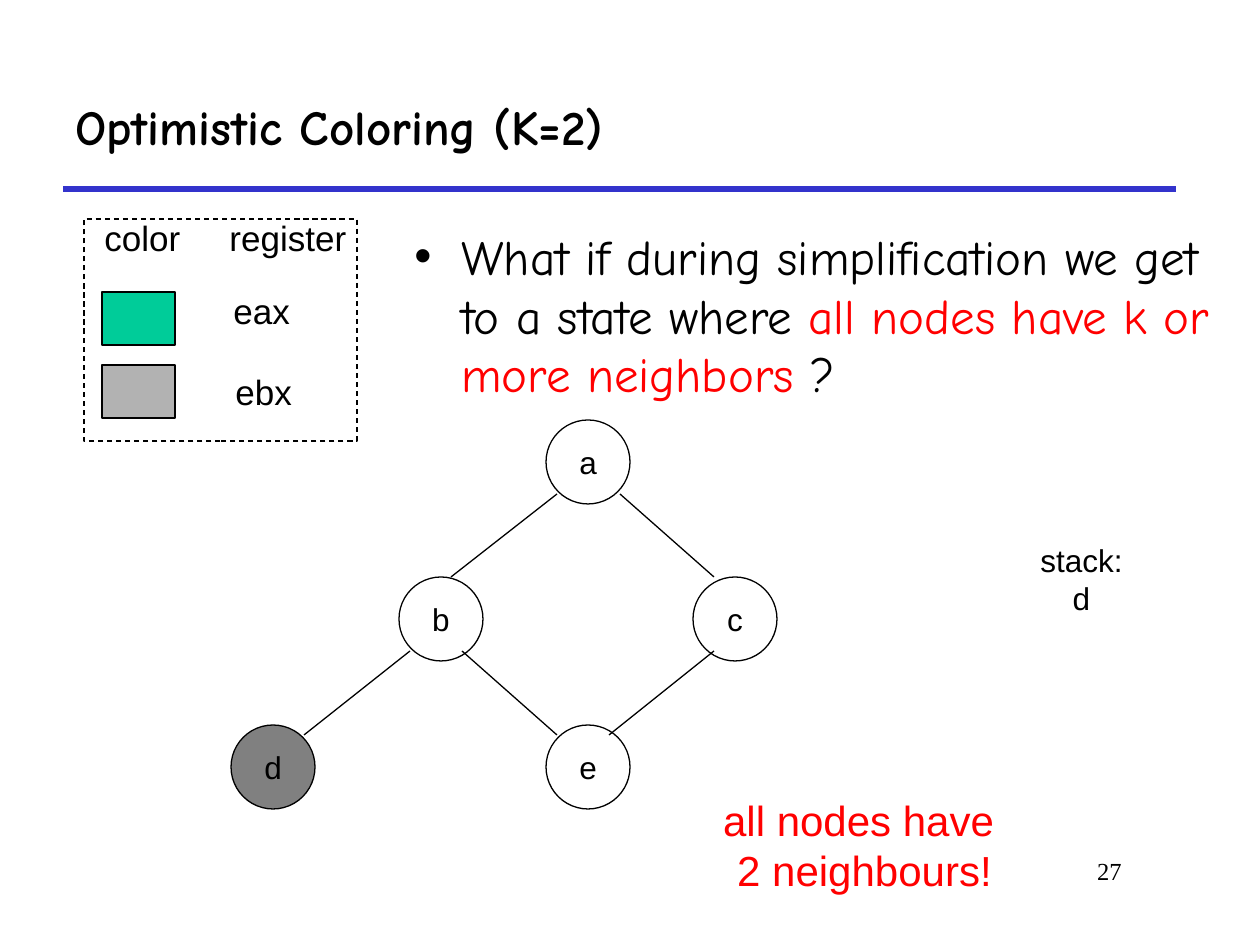
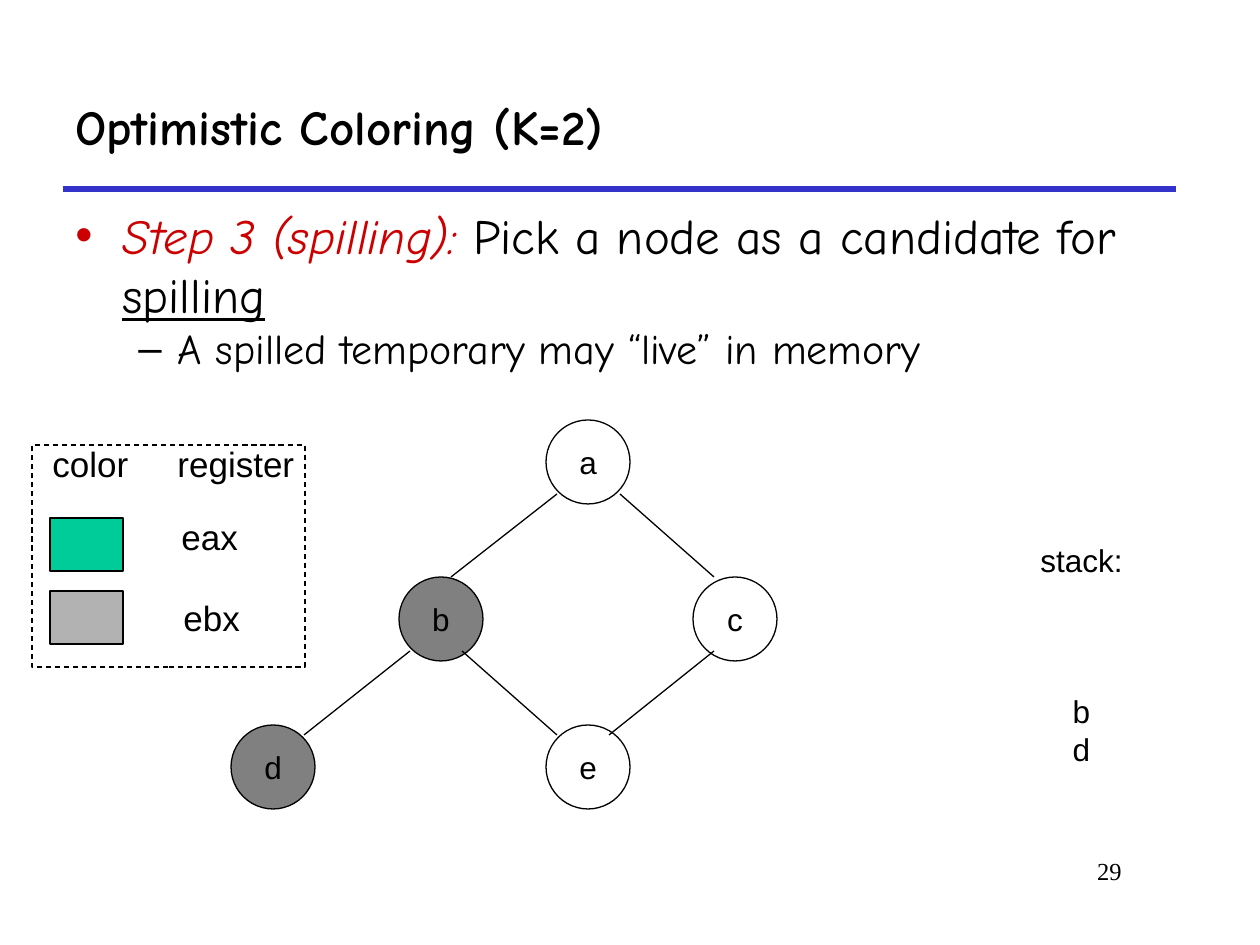
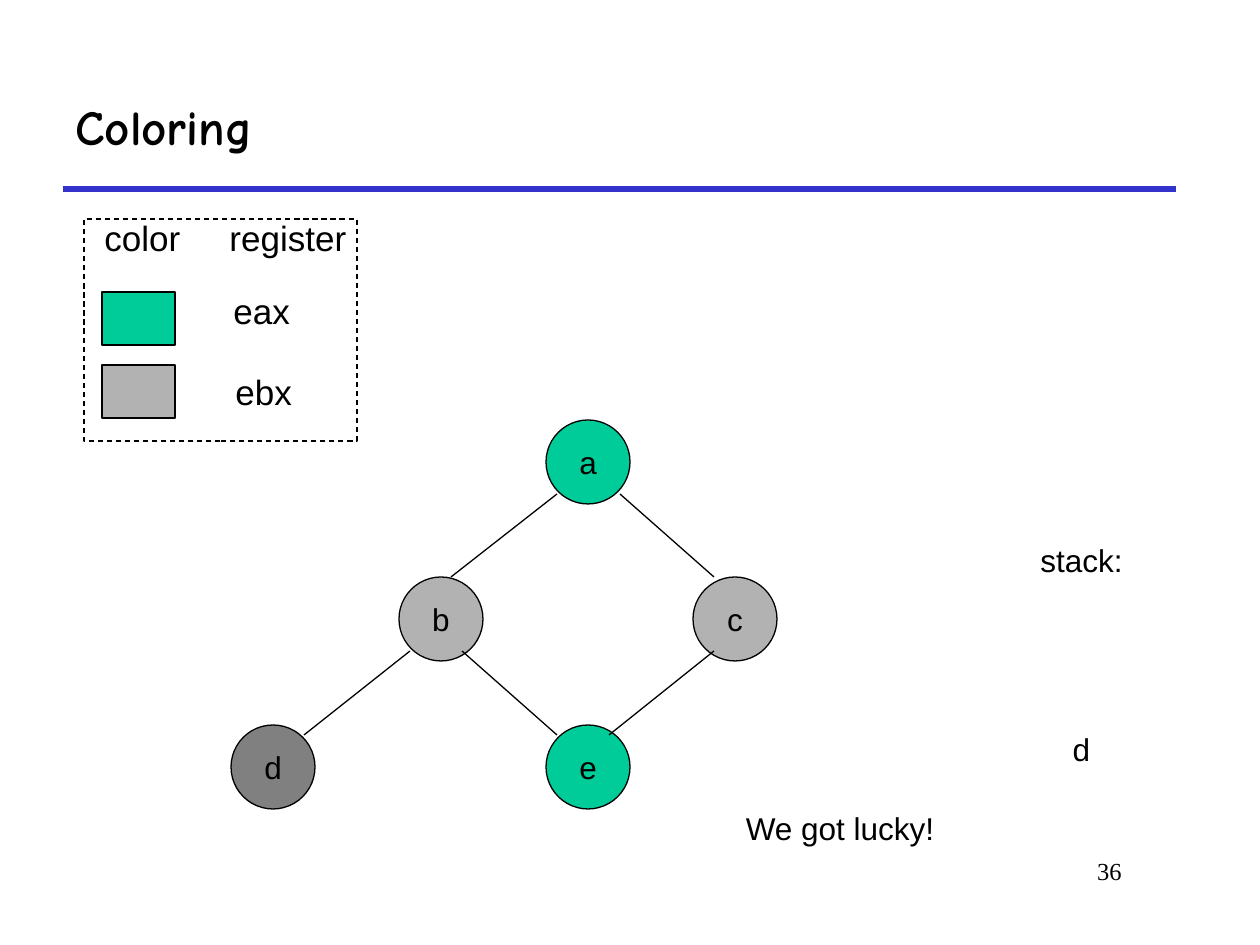
import pptx
import pptx.dml.color
import pptx.enum.dml
import pptx.enum.shapes
import pptx.enum.text
import pptx.oxml
import pptx.oxml.ns
import pptx.util

SHAPE = pptx.enum.shapes.MSO_SHAPE
ALIGN = pptx.enum.text.PP_ALIGN
ANCHOR = pptx.enum.text.MSO_ANCHOR
FIT = pptx.enum.text.MSO_AUTO_SIZE

# Colours and fonts
BLACK, RED, DARK_RED, BLUE = "000000", "FF0000", "CC0000", "3333CC"
GREEN, SILVER, GREY = "00CC99", "B2B2B2", "808080"
SANS, COMIC, SERIF = "Arial", "Comic Neue", "Times New Roman"

# Graph: left and top of each node, then the ends of each edge
NODE_SIZE = 84
NODES = {"b": (399, 577), "e": (546, 725), "d": (231, 725),
         "a": (546, 420), "c": (693, 577)}
EDGES = [(410, 651, 304, 735), (462, 651, 557, 735), (557, 494, 451, 577),
         (620, 494, 714, 577), (609, 735, 714, 651)]

STACK_ROW = 21.6  # points taken by one row of the stack


def px(length):
    return pptx.util.Emu(round(length * 914400 / 126))


def color(value):
    return pptx.dml.color.RGBColor.from_string(value)


def run(text, size=18, font=SANS, ink=BLACK, **marks):
    return text, size, font, ink, marks


class Slides:
    """Holds the deck, its style and the page being drawn."""

    def __init__(self):
        self.deck = pptx.Presentation()
        self.deck.slide_width, self.deck.slide_height = px(1260), px(945)

    def page(self, title, number):
        page = self.deck.slides.add_slide(self.deck.slide_layouts[6])
        self.shapes = page.shapes
        self.line(63, 189, 1176, 189, BLUE, 3)
        box = self.text(872, 850, 262, 63)
        self.para(box, [run(number, 14, SERIF)], ALIGN.RIGHT)
        box = self.text(63, 63, 1113, 126, anchor=ANCHOR.MIDDLE)
        self.para(box, [run(title, 28, COMIC, bold=True)])

    def line(self, x1, y1, x2, y2, ink=BLACK, width=0.75):
        line = self.shapes.add_connector(
            pptx.enum.shapes.MSO_CONNECTOR.STRAIGHT, px(x1), px(y1), px(x2), px(y2))
        line.line.color.rgb = color(ink)
        line.line.width = pptx.util.Pt(width)
        properties = line._element.spPr
        properties.append(pptx.oxml.parse_xml(
            "<a:effectLst %s/>" % pptx.oxml.ns.nsdecls("a")))

    def shape(self, kind, x, y, width, height, fill=None):
        shape = self.shapes.add_shape(kind, px(x), px(y), px(width), px(height))
        shape.shadow.inherit = False
        if fill:
            shape.fill.solid()
            shape.fill.fore_color.rgb = color(fill)
        else:
            shape.fill.background()
        shape.line.color.rgb = color(BLACK)
        shape.line.width = pptx.util.Pt(0.75)
        return shape

    def text(self, x, y, width, height, wrap=True, anchor=ANCHOR.TOP):
        box = self.shapes.add_textbox(px(x), px(y), px(width), px(height))
        box.text_frame.word_wrap = wrap
        box.text_frame.vertical_anchor = anchor
        if not wrap:
            box.text_frame.auto_size = FIT.SHAPE_TO_FIT_TEXT
        return box

    def para(self, box, runs, align=ALIGN.LEFT, before=0):
        frame = box.text_frame
        para = frame.paragraphs[0]
        if para.runs:
            para = frame.add_paragraph()
        para.alignment = align
        para.space_before = pptx.util.Pt(before)
        for text, size, font, ink, marks in runs:
            span = para.add_run()
            span.text = text
            span.font.size = pptx.util.Pt(size)
            span.font.name = font
            span.font.color.rgb = color(ink)
            for mark, value in marks.items():
                setattr(span.font, mark, value)
        return para

    def bullet(self, box, runs, mark, ink, left, hang, level=0, before=0):
        para = self.para(box, runs, before=before)
        para.level = level
        properties = para._p.get_or_add_pPr()
        properties.set("marL", str(px(left)))
        properties.set("indent", str(-px(hang)))
        names = pptx.oxml.ns.nsdecls("a")
        for item in (f'<a:buClr {names}><a:srgbClr val="{ink}"/></a:buClr>',
                     f'<a:buFont {names} typeface="{SANS}"/>',
                     f'<a:buChar {names} char="{mark}"/>'):
            properties.append(pptx.oxml.parse_xml(item))

    def graph(self, fills):
        for name, (x, y) in NODES.items():
            node = self.shape(SHAPE.OVAL, x, y, NODE_SIZE, NODE_SIZE, fills.get(name))
            node.text_frame.word_wrap = False
            node.text_frame.vertical_anchor = ANCHOR.MIDDLE
            self.para(node, [run(name)], ALIGN.CENTER)
        for edge in EDGES:
            self.line(*edge)

    def legend(self, x, y):
        page_shapes = self.shapes
        self.shapes = page_shapes.add_group_shape().shapes
        frame = self.shape(SHAPE.RECTANGLE, x, y, 273, 222)
        frame.line.dash_style = pptx.enum.dml.MSO_LINE.DASH
        heading = self.text(x + 8, y - 9, 272, 55)
        para = self.para(heading, [run("color\tregister", 20)])
        para._p.get_or_add_pPr().append(pptx.oxml.parse_xml(
            '<a:tabLst %s><a:tab pos="%d" algn="l"/></a:tabLst>'
            % (pptx.oxml.ns.nsdecls("a"), px(125))))
        rows = [("eax", GREEN, 73, 137, 64), ("ebx", SILVER, 146, 139, 145)]
        for name, fill, swatch_y, name_x, name_y in rows:
            self.shape(SHAPE.RECTANGLE, x + 18, y + swatch_y, 73, 53, fill)
            label = self.text(x + name_x, y + name_y, 82, 55, wrap=False)
            self.para(label, [run(name, 20)])
        self.shapes = page_shapes

    def stack(self, items, empty_rows=0):
        box = self.text(1012, 535, 139, 277 if empty_rows else 126)
        self.para(box, [run("stack:")], ALIGN.CENTER)
        for index, item in enumerate(items):
            before = 0 if index else round(empty_rows * STACK_ROW, 1)
            self.para(box, [run(item)], ALIGN.CENTER, before)

    def remark(self, x, y, width, height, lines, size=18, ink=BLACK):
        box = self.text(x, y, width, height, wrap=False)
        for line in lines:
            self.para(box, [run(line, size, ink=ink)], ALIGN.CENTER)


def main():
    slides = Slides()

    # All nodes have too many neighbours
    slides.page("Optimistic Coloring (K=2)", "27")
    slides.graph({"d": GREY})
    slides.legend(84, 219)
    slides.stack(["d"])
    slides.remark(706, 788, 317, 113, ["all nodes have ", "2 neighbours!"], 24, RED)
    body = slides.text(402, 220, 827, 220)
    slides.bullet(body, [
        run("What if during simplification we get to a state where ", 28, COMIC),
        run("all nodes have k or more neighbors ", 28, COMIC, RED),
        run("?", 28, COMIC)], "•", BLACK, 47, 47, before=7)

    # Spilling
    slides.page("Optimistic Coloring (K=2)", "29")
    slides.graph({"b": GREY, "d": GREY})
    slides.legend(32, 445)
    slides.stack(["b", "d"], empty_rows=3)
    body = slides.text(63, 199, 1144, 226)
    slides.bullet(body, [
        run("Step 3 (spilling): ", 28, COMIC, DARK_RED, italic=True),
        run("Pick a node as a candidate for ", 28, COMIC),
        run("spilling", 28, COMIC, underline=True)], "•", DARK_RED, 47, 47)
    slides.bullet(body, [run("A spilled temporary may “live” in memory", 24, COMIC)],
                  "–", BLACK, 102, 39, level=1)

    # Colours assigned
    slides.page("Coloring", "36")
    slides.graph({"a": GREEN, "b": SILVER, "c": SILVER, "d": GREY, "e": GREEN})
    slides.legend(84, 219)
    slides.stack(["d"], empty_rows=4)
    slides.remark(729, 803, 222, 50, ["We got lucky!"])

    slides.deck.save("out.pptx")


if __name__ == "__main__":
    main()
